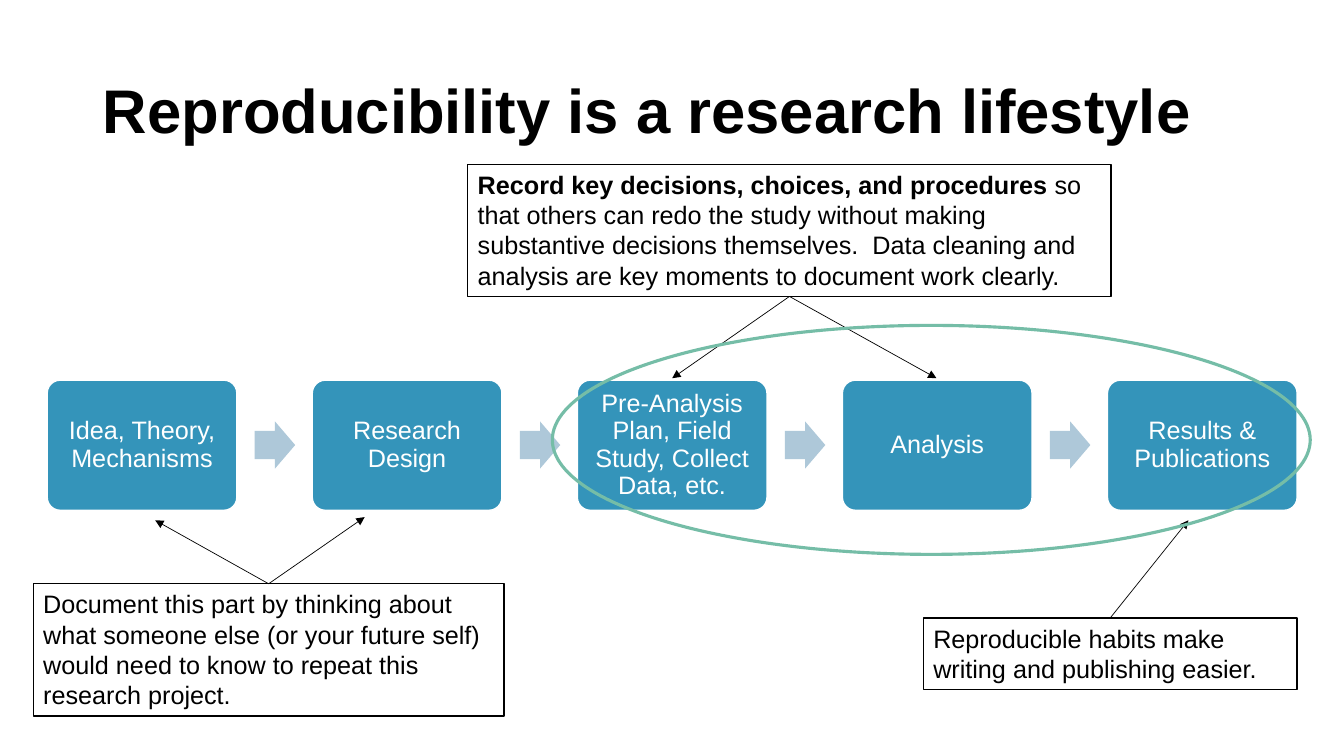
"""Builds a slide on reproducibility as a five-step research workflow."""
from lxml import etree
from pptx import Presentation
from pptx.dml.color import RGBColor
from pptx.enum.shapes import MSO_CONNECTOR, MSO_SHAPE
from pptx.enum.text import MSO_ANCHOR, PP_ALIGN
from pptx.oxml.ns import qn
from pptx.util import Cm, Pt

COLORS = {"ink": "000000", "paper": "FFFFFF", "step": "3494BA",
          "arrow": "AEC8D9", "ring": "75BDA7"}


class SlideBuilder:
    def __init__(self, slide, font="Arial", size=18):
        self.slide, self.font, self.size = slide, font, size

    def color(self, name):
        return RGBColor.from_string(COLORS[name])

    def set_text(self, frame, runs, color="ink", size=None, align=PP_ALIGN.LEFT,
                 anchor=MSO_ANCHOR.TOP, spacing=None):
        frame.word_wrap = True
        frame.vertical_anchor = anchor
        paragraph = frame.paragraphs[0]
        paragraph.alignment = align
        paragraph.line_spacing = spacing
        for text, bold in runs:
            run = paragraph.add_run()
            run.text = text
            run.font.name = self.font
            run.font.size = Pt(size or self.size)
            run.font.bold = bold
            run.font.color.rgb = self.color(color)

    def title(self, text, box):
        title = self.slide.shapes.title
        title.left, title.top, title.width, title.height = map(Cm, box)
        self.set_text(title.text_frame, [(text, True)], size=44,
                      anchor=MSO_ANCHOR.MIDDLE, spacing=0.9)

    def shape(self, kind, box, fill=None, line=None, width=1, adjust=()):
        shape = self.slide.shapes.add_shape(kind, *map(Cm, box))
        shape.shadow.inherit = False
        for index, value in enumerate(adjust):
            shape.adjustments[index] = value
        if fill:
            shape.fill.solid()
            shape.fill.fore_color.rgb = self.color(fill)
        else:
            shape.fill.background()
        if line:
            shape.line.color.rgb = self.color(line)
            shape.line.width = Pt(width)
        else:
            shape.line.fill.background()
        return shape

    def step(self, text, box):
        shape = self.shape(MSO_SHAPE.ROUNDED_RECTANGLE, box, "step", "paper", adjust=[0.1])
        frame = shape.text_frame
        frame.margin_left = frame.margin_right = Cm(0.27)
        frame.margin_top = frame.margin_bottom = Cm(0.27)
        self.set_text(frame, [(text, False)], "paper", align=PP_ALIGN.CENTER,
                      anchor=MSO_ANCHOR.MIDDLE, spacing=0.9)

    def pointer(self, start, end):
        connector = self.slide.shapes.add_connector(
            MSO_CONNECTOR.STRAIGHT, *map(Cm, (*start, *end)))
        connector.line.color.rgb = self.color("ink")
        connector.line.width = Pt(0.5)
        properties = connector.element.spPr
        etree.SubElement(properties.find(qn("a:ln")), qn("a:tailEnd"), type="triangle")
        etree.SubElement(properties, qn("a:effectLst"))

    def callout(self, runs, box, targets):
        shape = self.shape(MSO_SHAPE.RECTANGLE, box, "paper", "ink")
        self.set_text(shape.text_frame, runs)
        left, top, width, height = box
        for target in targets:
            edge = top if target[1] < top else top + height
            self.pointer((left + width / 2, edge), target)


STEPS = ["Idea, Theory, Mechanisms", "Research Design",
         "Pre-Analysis Plan, Field Study, Collect Data, etc.",
         "Analysis", "Results & Publications"]
STEP_LEFT, STEP_PITCH = 1.19, 6.68
CALLOUTS = [
    ([("Reproducible habits make writing and publishing easier.", False)],
     (23.27, 15.57, 9.42, 1.8), [(29.95, 13.11)]),
    ([("Record key decisions, choices, and procedures", True),
      (" so that others can redo the study without making substantive decisions "
       "themselves.  Data cleaning and analysis are key moments to document "
       "work clearly.", False)],
     (11.79, 4.14, 16.21, 3.33), [(23.6, 9.53), (16.94, 9.53)]),
    ([("Document this part by thinking about what someone else (or your future "
       "self) would need to know to repeat this research project.", False)],
     (0.84, 14.71, 11.86, 3.33), [(3.91, 13.11), (9.19, 13.03)]),
]

deck = Presentation()
deck.slide_width, deck.slide_height = Cm(33.87), Cm(19.05)
builder = SlideBuilder(deck.slides.add_slide(deck.slide_layouts[5]))
builder.title("Reproducibility is a research lifestyle", (2.34, 1.02, 29.21, 3.68))
for index, label in enumerate(STEPS):
    left = STEP_LEFT + index * STEP_PITCH
    builder.step(label, (left, 9.58, 4.78, 3.28))
    if index < len(STEPS) - 1:
        builder.shape(MSO_SHAPE.RIGHT_ARROW, (left + 5.23, 10.62, 1.02, 1.19),
                      "arrow", adjust=[0.6, 0.5])
for runs, box, targets in CALLOUTS:
    builder.callout(runs, box, targets)
builder.shape(MSO_SHAPE.OVAL, (13.92, 8.2, 19.1, 5.77), line="ring", width=2.25)
deck.save("out.pptx")
